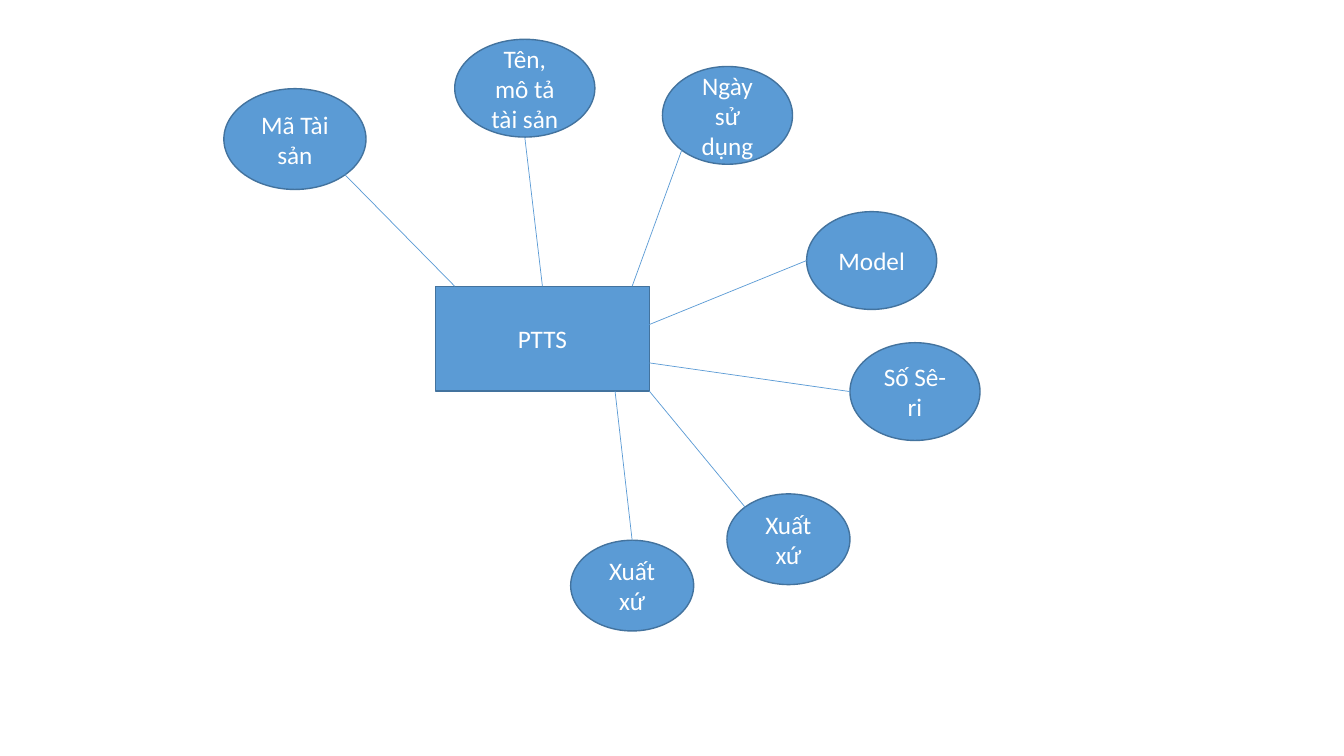
from pptx import Presentation
from pptx.dml.color import RGBColor
from pptx.enum import shapes, text
from pptx.oxml import xmlchemy
from pptx.util import Inches, Pt

COLORS = {"fill": "5B9BD5", "outline": "43739E", "text": "FFFFFF"}
ENTITY_BOX = (4.32, 2.84, 2.12, 1.04)
NEAR, MIDDLE, FAR = 0.15, 0.5, 0.85

# label, box, spoke start as a share of the ellipse, spoke end on the entity
ATTRIBUTES = [
    ("Mã Tài sản", (2.22, 0.88, 1.41, 1), (FAR, FAR), (4.51, 2.84)),
    ("Tên, mô tả tài sản", (4.51, 0.39, 1.39, 0.97), (MIDDLE, 1), (5.38, 2.84)),
    ("Ngày sử dụng", (6.57, 0.66, 1.29, 0.97), (NEAR, FAR), (6.27, 2.84)),
    ("Model", (8, 2.1, 1.29, 0.97), (0, MIDDLE), (6.44, 3.22)),
    ("Số Sê-ri", (8.43, 3.4, 1.29, 0.97), (0, MIDDLE), (6.44, 3.6)),
    ("Xuất xứ", (7.21, 4.9, 1.22, 0.9), (NEAR, NEAR), (6.44, 3.88)),
    ("Xuất xứ", (5.66, 5.36, 1.22, 0.9), (MIDDLE, 0), (6.1, 3.88)),
]


def color(name):
    return RGBColor.from_string(COLORS[name])


def add_node(slide, kind, label, box):
    shape = slide.shapes.add_shape(kind, *map(Inches, box))
    shape.shadow.inherit = False
    shape.fill.solid()
    shape.fill.fore_color.rgb = color("fill")
    shape.line.color.rgb = color("outline")
    shape.line.width = Pt(1)
    frame = shape.text_frame
    frame.word_wrap = True
    frame.vertical_anchor = text.MSO_ANCHOR.MIDDLE
    paragraph = frame.paragraphs[0]
    paragraph.text = label
    paragraph.alignment = text.PP_ALIGN.CENTER
    paragraph.font.name = "Calibri"
    paragraph.font.size = Pt(18)
    paragraph.font.color.rgb = color("text")
    return shape


def add_spoke(slide, box, share, end, entity):
    left, top, width, height = box
    start = (left + share[0] * width, top + share[1] * height)
    connector = slide.shapes.add_connector(
        shapes.MSO_CONNECTOR.STRAIGHT, *map(Inches, start + end))
    connector.line.color.rgb = color("fill")
    connector.line.width = Pt(0.5)
    properties = connector._element.spPr
    properties.append(xmlchemy.OxmlElement("a:effectLst"))
    entity_left, entity_top, entity_width, _ = ENTITY_BOX
    if end == (round(entity_left + entity_width / 2, 2), entity_top):
        connector.end_connect(entity, 0)


def add_entity_diagram(slide):
    entity = add_node(slide, shapes.MSO_SHAPE.RECTANGLE, "PTTS", ENTITY_BOX)
    for label, box, _, _ in ATTRIBUTES:
        add_node(slide, shapes.MSO_SHAPE.OVAL, label, box)
    for _, box, share, end in ATTRIBUTES:
        add_spoke(slide, box, share, end, entity)


def main():
    presentation = Presentation()
    presentation.slide_width = Inches(13.33)
    presentation.slide_height = Inches(7.5)
    slide = presentation.slides.add_slide(presentation.slide_layouts[6])
    add_entity_diagram(slide)
    presentation.save("out.pptx")


if __name__ == "__main__":
    main()
